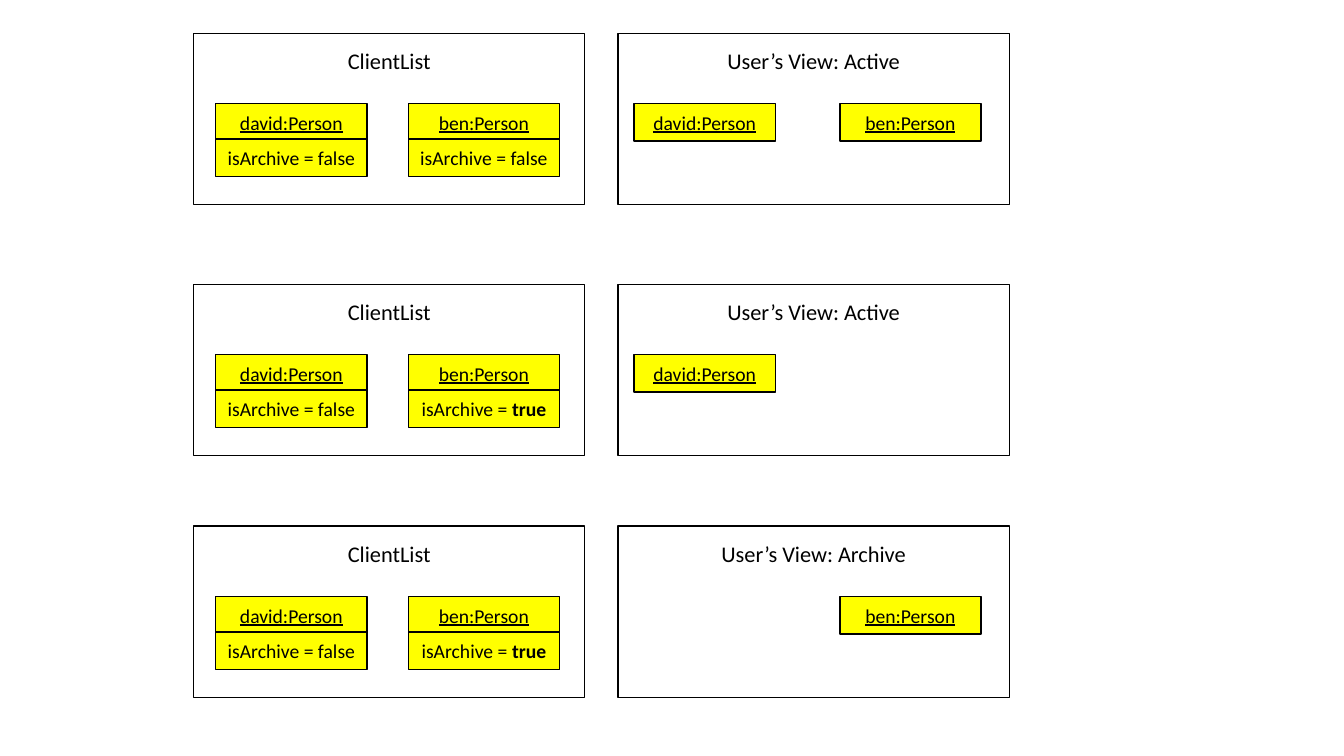
import pptx
import pptx.util
import pptx.dml.color
import pptx.enum.shapes
import pptx.enum.text

COLORS = {"ink": "000000", "person": "FFFF00"}
CELL = 0.1  # inches per grid column and row

# Grid columns, and rows counted from the top of a frame
FRAME_WIDTH, FRAME_HEIGHT = 38.8, 17
LIST_LEFT, VIEW_LEFT = 19.2, 61.3
TITLE_DROP, PERSON_DROP, FIELD_DROP = 0.9, 7, 10.5
BOX_HEIGHT = 3.7
OBJECT_WIDTH, ENTRY_WIDTH = 15, 14
OBJECT_LEFTS = {"david": 21.4, "ben": 40.5}
ENTRY_LEFTS = {"david": 62.9, "ben": 83.3}

# Top of the row, ben's archive flag, view name, people in the view
STATES = [
    (3.3, "false", "Active", ["david", "ben"]),
    (28.2, "true", "Active", ["david"]),
    (52.2, "true", "Archive", ["ben"]),
]


def grid(*cells):
    """Turn grid counts into lengths."""
    return [pptx.util.Inches(cell * CELL) for cell in cells]


def color(name):
    """Look up a named colour."""
    return pptx.dml.color.RGBColor.from_string(COLORS[name])


def write(text_frame, *texts, size=14, underline=False, bold_last=False):
    """Write the texts as runs of one centred paragraph."""
    text_frame.word_wrap = True
    text_frame.margin_left = text_frame.margin_right = pptx.util.Inches(0.05)
    paragraph = text_frame.paragraphs[0]
    paragraph.alignment = pptx.enum.text.PP_ALIGN.CENTER
    for text in texts:
        run = paragraph.add_run()
        run.text = text
        run.font.name = "Calibri"
        run.font.size = pptx.util.Pt(size)
        run.font.color.rgb = color("ink")
        run.font.underline = underline
    run.font.bold = bold_last


class ObjectDiagram:
    """Draws frames and object boxes on a slide in one style."""

    def __init__(self, slide):
        """Keep the slide and the line width."""
        self.slide = slide
        self.line_width = pptx.util.Pt(1)

    def rectangle(self, left, top, width, height, fill=None):
        """Add an outlined rectangle, filled if a colour is named."""
        shape = self.slide.shapes.add_shape(
            pptx.enum.shapes.MSO_SHAPE.RECTANGLE, *grid(left, top, width, height))
        shape.shadow.inherit = False
        shape.line.color.rgb = color("ink")
        shape.line.width = self.line_width
        if fill:
            shape.fill.solid()
            shape.fill.fore_color.rgb = color(fill)
        else:
            shape.fill.background()
        return shape

    def frame(self, left, top, title):
        """Add a frame with its title."""
        self.rectangle(left, top, FRAME_WIDTH, FRAME_HEIGHT)
        title_box = self.slide.shapes.add_textbox(
            *grid(left, top + TITLE_DROP, FRAME_WIDTH, BOX_HEIGHT))
        write(title_box.text_frame, title, size=16)

    def box(self, left, top, width, *texts, **text_format):
        """Add a yellow box with centred text."""
        shape = self.rectangle(left, top, width, BOX_HEIGHT, fill="person")
        shape.text_frame.vertical_anchor = pptx.enum.text.MSO_ANCHOR.MIDDLE
        write(shape.text_frame, *texts, **text_format)

    def person(self, left, top, width, name):
        """Add the box that names a person object."""
        self.box(left, top + PERSON_DROP, width, f"{name}:Person", underline=True)

    def archive_flag(self, left, top, value):
        """Add the box with the archive flag, a true value in bold."""
        texts = ["isArchive = ", value] if value == "true" else [f"isArchive = {value}"]
        self.box(left, top + FIELD_DROP, OBJECT_WIDTH, *texts, bold_last=value == "true")


presentation = pptx.Presentation()
presentation.slide_width = pptx.util.Inches(13.33)
presentation.slide_height = pptx.util.Inches(7.5)
diagram = ObjectDiagram(presentation.slides.add_slide(presentation.slide_layouts[6]))

for top, ben_flag, view, visible_people in STATES:
    diagram.frame(LIST_LEFT, top, "ClientList")
    for name, flag in (("david", "false"), ("ben", ben_flag)):
        diagram.person(OBJECT_LEFTS[name], top, OBJECT_WIDTH, name)
        diagram.archive_flag(OBJECT_LEFTS[name], top, flag)
    diagram.frame(VIEW_LEFT, top, f"User’s View: {view}")
    for name in visible_people:
        diagram.person(ENTRY_LEFTS[name], top, ENTRY_WIDTH, name)

presentation.save("out.pptx")
